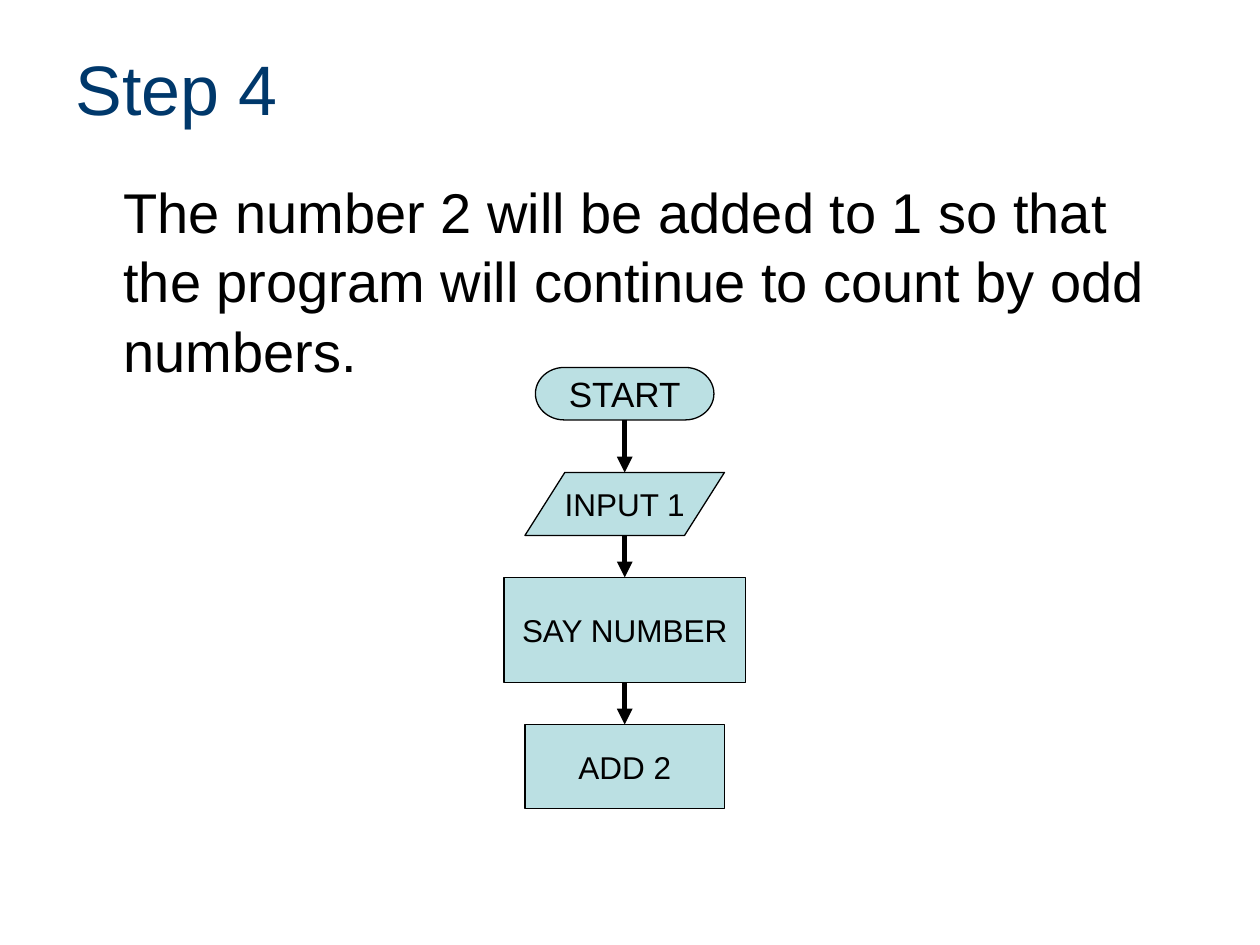
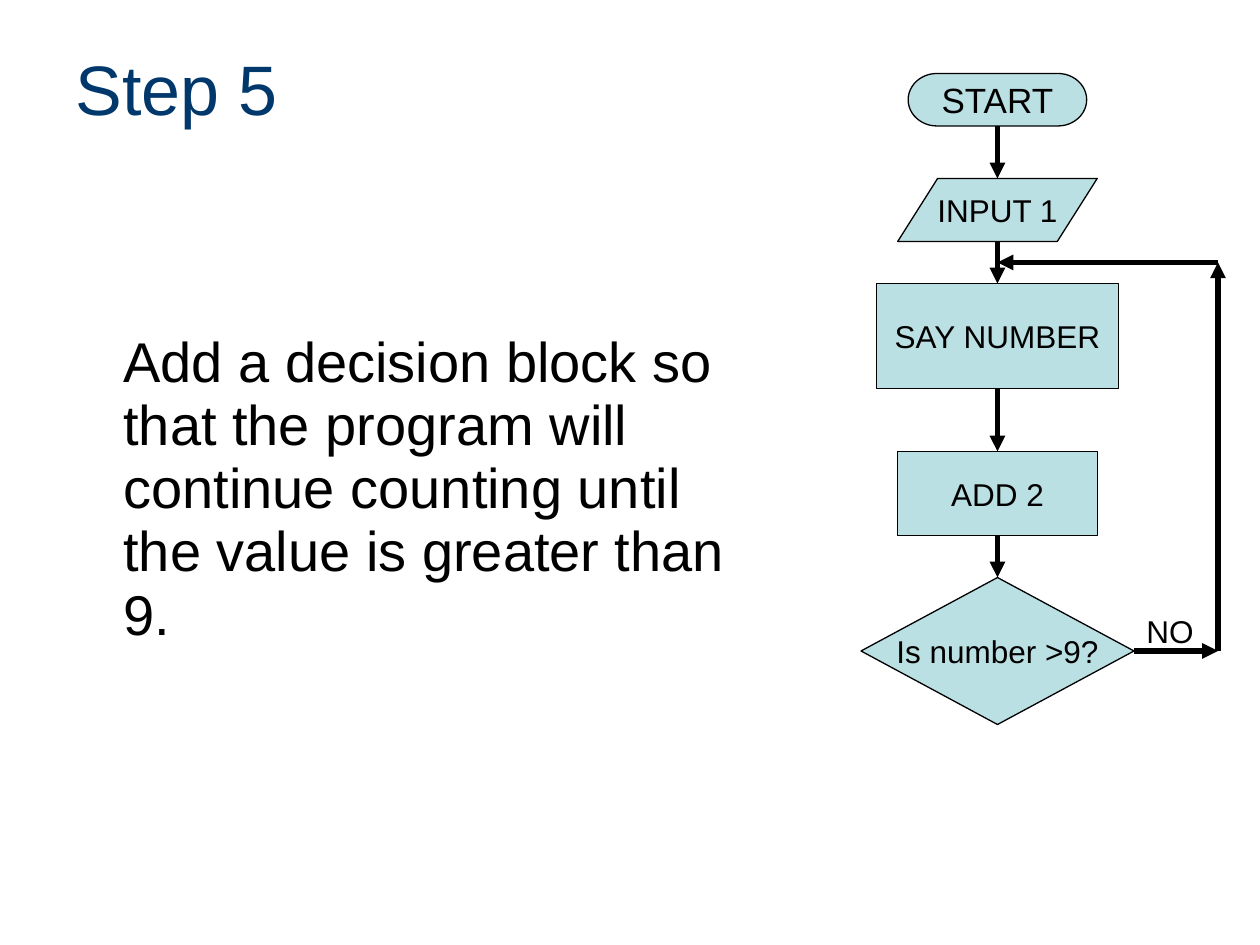
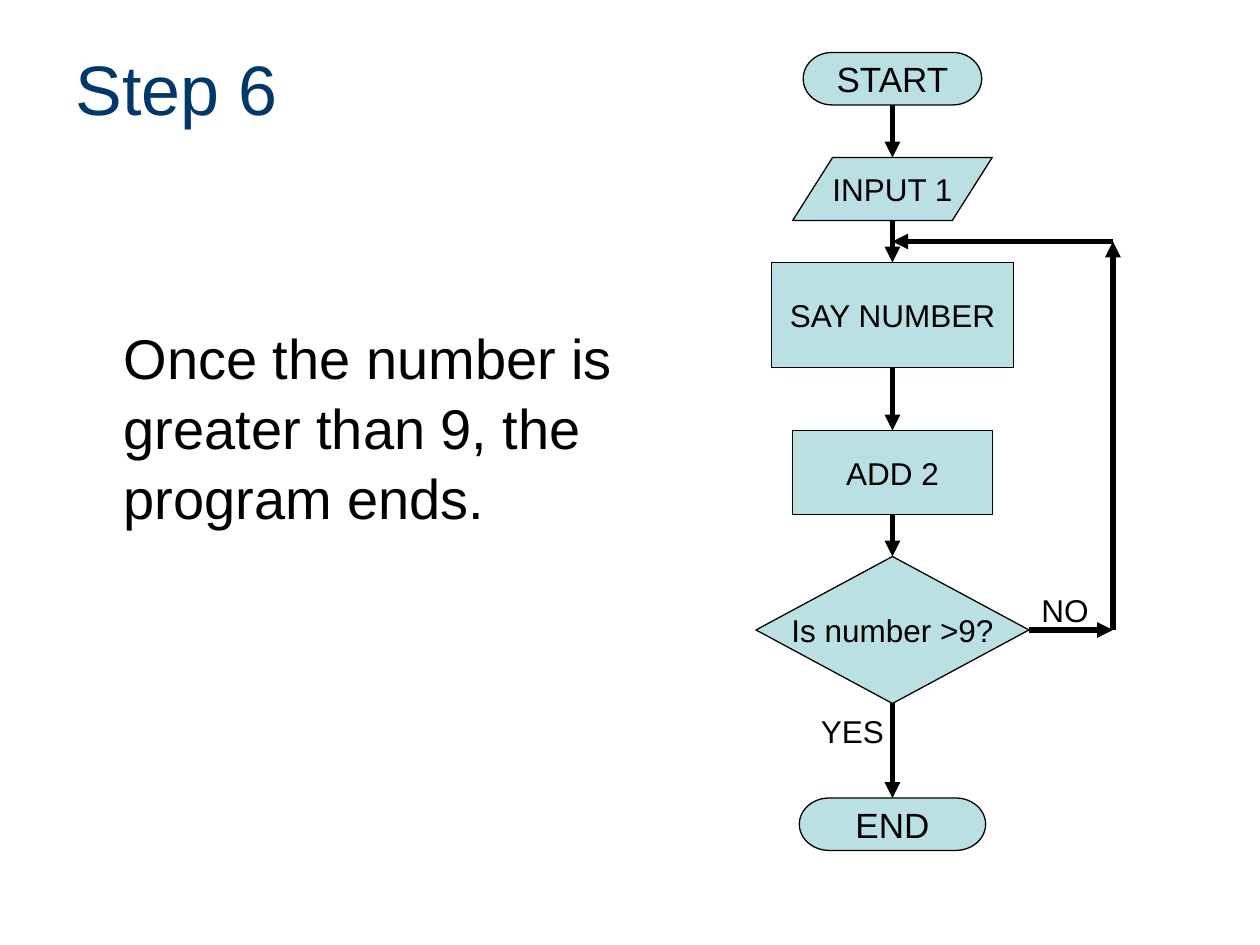
from dataclasses import dataclass

from lxml import etree
from pptx import Presentation, util as u
from pptx.dml.color import RGBColor
from pptx.enum import shapes, text
from pptx.oxml import ns


@dataclass(frozen=True)
class Theme:
    font: str = "Arial"
    title_color: RGBColor = RGBColor(0x00, 0x38, 0x6B)
    ink: RGBColor = RGBColor(0x00, 0x00, 0x00)
    block_fill: RGBColor = RGBColor(0xBB, 0xE0, 0xE3)
    title_size: int = 40
    body_size: int = 32
    terminator_size: int = 20
    block_size: int = 18
    outline: float = 0.75
    arrow: float = 3


theme = Theme()
presentation = Presentation()
presentation.slide_width = u.Inches(10)
presentation.slide_height = u.Inches(7.5)
CELL = presentation.slide_width // 120  # grid of 120 columns by 90 rows


def format_text(shape, size, color=theme.ink, align=text.PP_ALIGN.LEFT):
    for paragraph in shape.text_frame.paragraphs:
        paragraph.alignment = align
        for run in paragraph.runs:
            run.font.name = theme.font
            run.font.size = u.Pt(size)
            run.font.color.rgb = color


def add_arrow(slide, start, end):
    """Draw an arrow between two (column, row) points."""
    points = [round(value * CELL) for value in (*start, *end)]
    arrow = slide.shapes.add_connector(shapes.MSO_CONNECTOR.STRAIGHT, *points)
    arrow.line.color.rgb = theme.ink
    arrow.line.width = u.Pt(theme.arrow)
    line = arrow.line._get_or_add_ln()
    etree.SubElement(line, ns.qn("a:tailEnd"), type="triangle")
    etree.SubElement(arrow._element.spPr, ns.qn("a:effectLst"))
    return arrow


# Block: preset shape, columns wide, rows high
kinds = shapes.MSO_SHAPE
blocks = {
    "START": (kinds.FLOWCHART_TERMINATOR, 17, 5),
    "INPUT 1": (kinds.FLOWCHART_DATA, 19, 6),
    "SAY NUMBER": (kinds.FLOWCHART_PROCESS, 23, 10),
    "ADD 2": (kinds.FLOWCHART_PROCESS, 19, 8),
    "Is number >9?": (kinds.FLOWCHART_DECISION, 26, 14),
    "END": (kinds.FLOWCHART_TERMINATOR, 17.75, 5),
}

# Body box is left, top, width, height; gaps are the rows between blocks
steps = [
    dict(title="Step 4",
         body="The number 2 will be added to 1 so that the program will "
              "continue to count by odd numbers.",
         body_box=(6, 16, 108, 23), spacing=1.04,
         center=59.5, top=35, gaps=(5, 4, 4)),
    dict(title="Step 5",
         body="Add a decision block so that the program will continue "
              "counting until the value is greater than 9.",
         body_box=(6, 31, 67, 31), spacing=0.94,
         center=95, top=7, gaps=(5, 4, 6, 4)),
    dict(title="Step 6",
         body="Once the number is greater than 9, the program ends.",
         body_box=(6, 30, 60, 22), spacing=1.04,
         center=85, top=5, gaps=(5, 4, 6, 4, 9)),
]

for step in steps:
    slide = presentation.slides.add_slide(presentation.slide_layouts[1])
    title, body = slide.placeholders
    for shape, wording, box in ((title, step["title"], (6, 3.6, 108, 9.4)),
                                (body, step["body"], step["body_box"])):
        shape.left, shape.top, shape.width, shape.height = (
            round(value * CELL) for value in box)
        shape.text_frame.text = wording
        shape.text_frame.auto_size = text.MSO_AUTO_SIZE.NONE
    title.text_frame.vertical_anchor = text.MSO_ANCHOR.MIDDLE
    format_text(title, theme.title_size, theme.title_color)
    format_text(body, theme.body_size)

    paragraph = body.text_frame.paragraphs[0]
    paragraph.line_spacing = step["spacing"]
    paragraph.space_before = u.Pt(8)
    properties = paragraph._p.get_or_add_pPr()
    properties.set("marL", str(u.Inches(0.38)))
    properties.set("indent", "0")
    etree.SubElement(properties, ns.qn("a:buNone"))

    # Column of blocks, each joined to the one above
    center, row = step["center"], step["top"]
    tops, previous = {}, None
    for (name, (kind, width, height)), gap in zip(blocks.items(), (0, *step["gaps"])):
        row += gap
        tops[name] = row
        block = slide.shapes.add_shape(
            kind, *(round(value * CELL) for value in (center - width / 2, row, width, height)))
        block.shadow.inherit = False
        block.fill.solid()
        block.fill.fore_color.rgb = theme.block_fill
        block.line.color.rgb = theme.ink
        block.line.width = u.Pt(theme.outline)
        block.text_frame.text = name
        block.text_frame.word_wrap = False
        block.text_frame.vertical_anchor = text.MSO_ANCHOR.MIDDLE
        size = theme.terminator_size if kind == kinds.FLOWCHART_TERMINATOR else theme.block_size
        format_text(block, size, align=text.PP_ALIGN.CENTER)
        if previous is not None:
            arrow = add_arrow(slide, (center, row - gap), (center, row))
            if previous.auto_shape_type != kinds.FLOWCHART_DATA:
                arrow.begin_connect(previous, 2)
            if kind != kinds.FLOWCHART_DATA:
                arrow.end_connect(block, 0)
        previous = block
        row += height

    # Loop from the decision back to the line above SAY NUMBER
    labels = []
    if "Is number >9?" in tops:
        decision_top = tops["Is number >9?"]
        middle, right = decision_top + 7, center + 13
        back = tops["SAY NUMBER"] - 2
        route = [(right, middle), (right + 8, middle), (right + 8, back), (center, back)]
        for start, end in zip(route, route[1:]):
            add_arrow(slide, start, end)
        labels.append(("NO", right, middle - 4.3, 8))
    if "END" in tops:
        labels.append(("YES", center - 8, decision_top + 14.2, 12))
    for wording, left, top, width in labels:
        label = slide.shapes.add_textbox(
            *(round(value * CELL) for value in (left, top, width, 4.8)))
        label.text_frame.text = wording
        label.text_frame.word_wrap = True
        label.text_frame.auto_size = text.MSO_AUTO_SIZE.SHAPE_TO_FIT_TEXT
        format_text(label, theme.block_size)

presentation.save("out.pptx")
